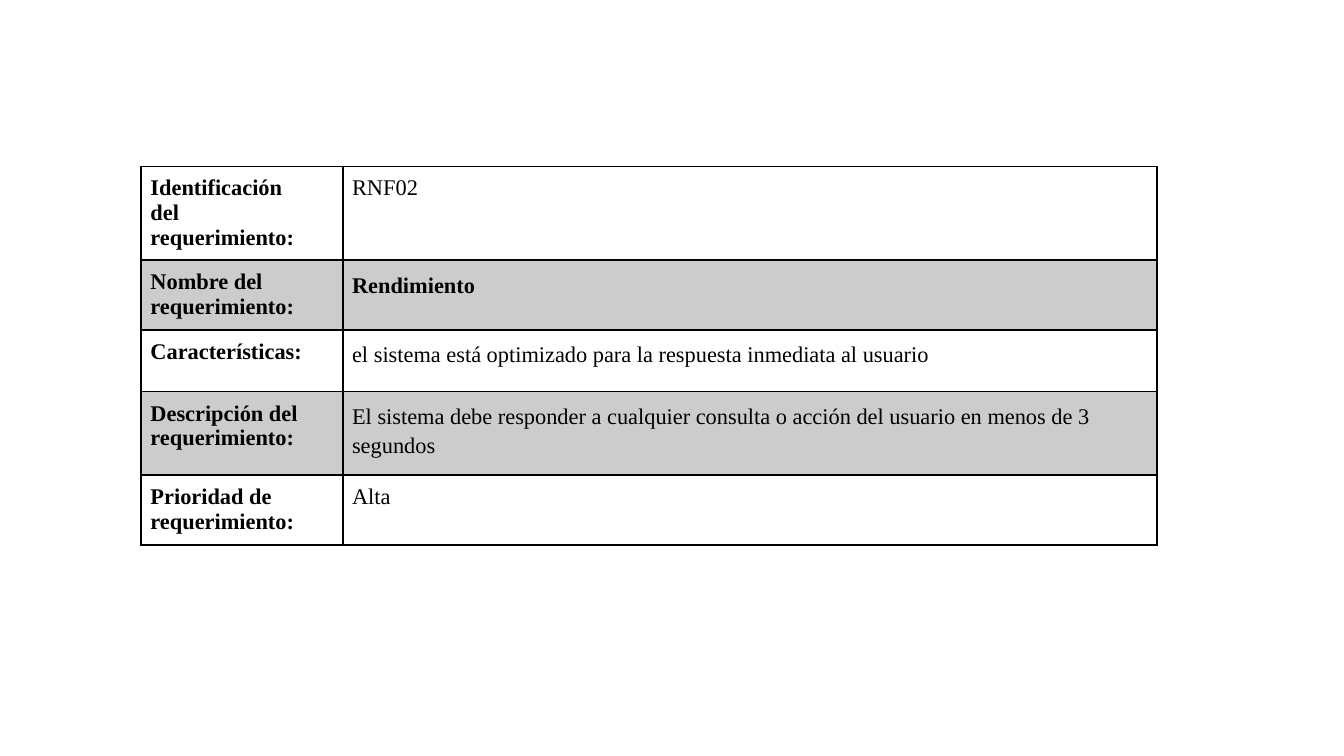
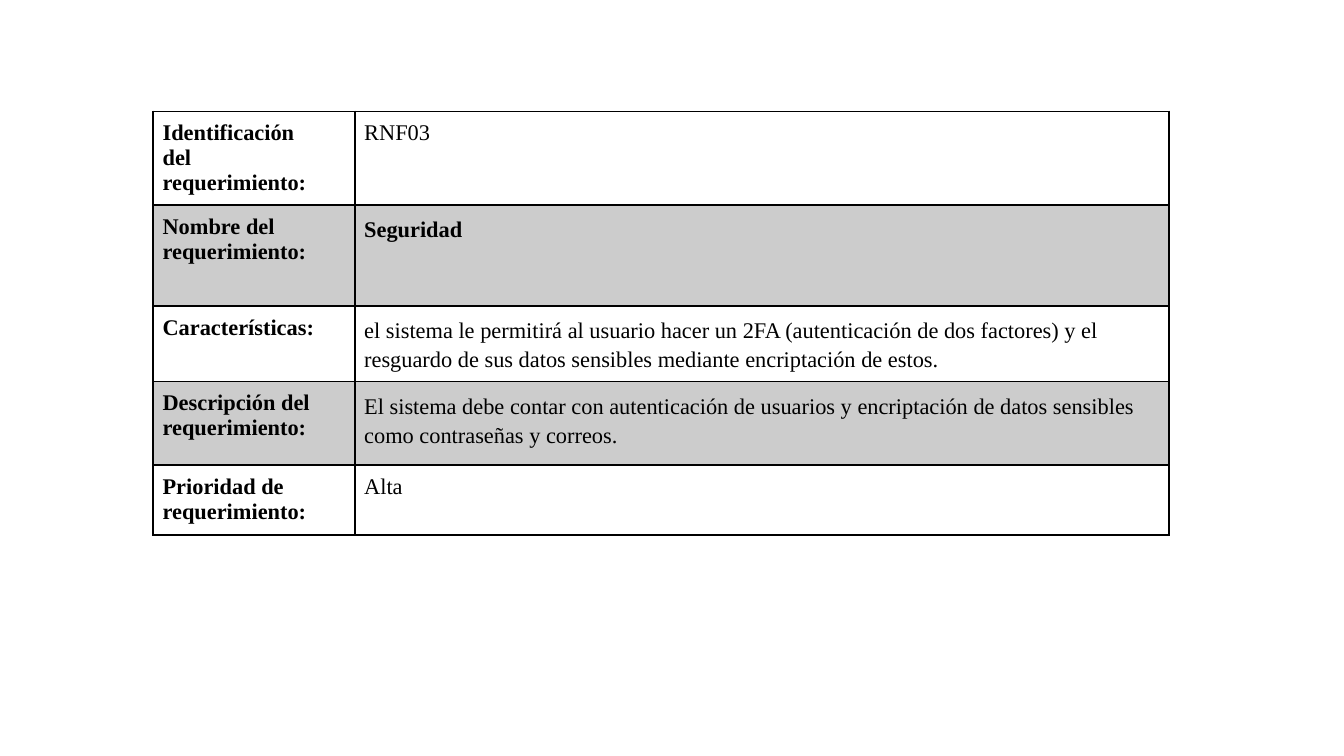
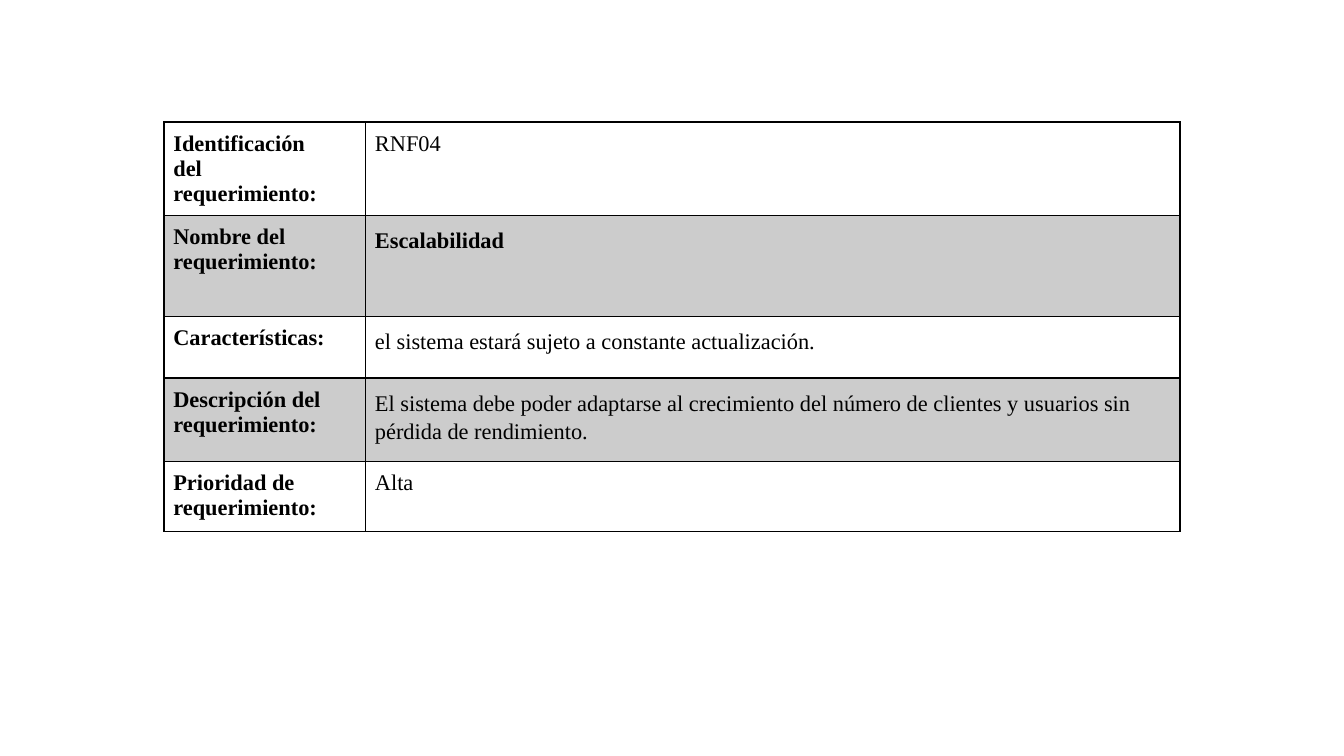
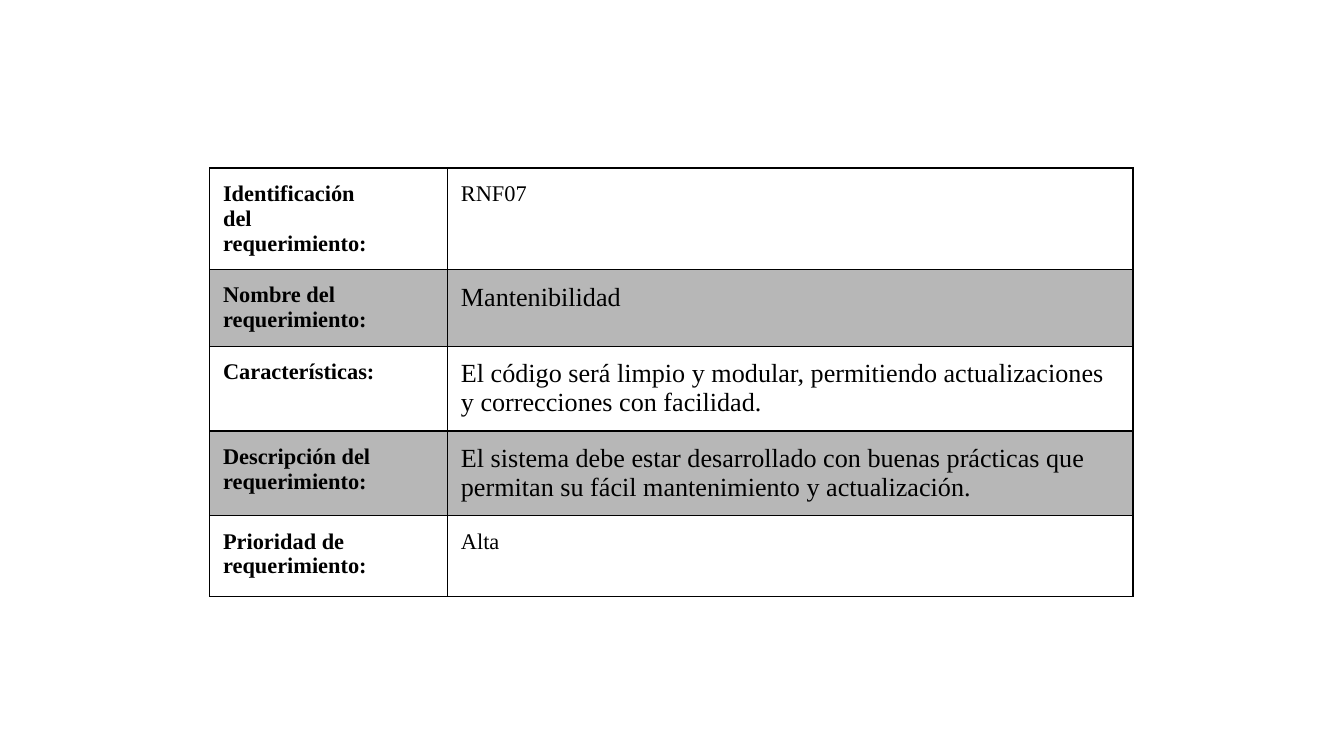
from lxml.etree import SubElement
from pptx import Presentation
from pptx.dml.color import RGBColor
from pptx.oxml.ns import qn
from pptx.util import Inches, Pt

# Content: one requirement per slide
LABELS = [
    "Identificación\ndel\nrequerimiento:",
    "Nombre del\nrequerimiento:",
    "Características:",
    "Descripción del\nrequerimiento:",
    "Prioridad de\nrequerimiento:",
]
REQUIREMENTS = [
    ["RNF02", "Rendimiento",
     "el sistema está optimizado para la respuesta inmediata al usuario",
     "El sistema debe responder a cualquier consulta o acción del usuario en menos de 3 segundos",
     "Alta"],
    ["RNF03", "Seguridad",
     "el sistema le permitirá al usuario hacer un 2FA (autenticación de dos factores) y el "
     "resguardo de sus datos sensibles mediante encriptación de estos.",
     "El sistema debe contar con autenticación de usuarios y encriptación de datos sensibles "
     "como contraseñas y correos.",
     "Alta"],
    ["RNF04", "Escalabilidad",
     "el sistema estará sujeto a constante actualización.",
     "El sistema debe poder adaptarse al crecimiento del número de clientes y usuarios sin "
     "pérdida de rendimiento.",
     "Alta"],
    ["RNF07", "Mantenibilidad",
     "El código será limpio y modular, permitiendo actualizaciones y correcciones con facilidad.",
     "El sistema debe estar desarrollado con buenas prácticas que permitan su fácil "
     "mantenimiento y actualización.",
     "Alta"],
]

# Shared look
FONT = "Times New Roman"
BLACK = RGBColor(0x00, 0x00, 0x00)
WHITE = RGBColor(0xFF, 0xFF, 0xFF)
LIGHT_GRAY = RGBColor(0xCC, 0xCC, 0xCC)
MID_GRAY = RGBColor(0xB7, 0xB7, 0xB7)
BORDER_SIDES = ("lnL", "lnR", "lnT", "lnB")
MARGIN_SIDES = ("left", "right", "top", "bottom")
DETAIL_ROWS = (1, 2, 3)  # name, features and description

WIDE = {"columns": (1.5, 6.06), "margin": 0.07, "border": 1, "band": LIGHT_GRAY,
        "detail_size": 12, "detail_spacing": 1.15, "bold_name": True}
NARROW = {"columns": (1.77, 5.1), "margin": 0.1, "border": 0.75, "band": MID_GRAY,
          "detail_size": 14, "detail_spacing": None, "bold_name": False}

# Style, top left corner and row heights of each table
TABLES = [
    (WIDE, (1.05, 1.24), (0.63, 0.52, 0.46, 0.62, 0.52)),
    (WIDE, (1.14, 0.83), (0.63, 0.75, 0.46, 0.62, 0.52)),
    (WIDE, (1.22, 0.91), (0.63, 0.75, 0.46, 0.62, 0.52)),
    (NARROW, (1.56, 1.25), (0.42, 0.42, 0.42, 0.42, 0.6)),
]


def add_borders(cell, width):
    properties = cell._tc.get_or_add_tcPr()
    for side in BORDER_SIDES:
        line = SubElement(properties, qn(f"a:{side}"), w=str(Pt(width)))
        fill = SubElement(line, qn("a:solidFill"))
        SubElement(fill, qn("a:srgbClr"), val=str(BLACK))


def fill_cell(cell, text, style, color, size=12, bold=False, spacing=None):
    add_borders(cell, style["border"])
    cell.fill.solid()
    cell.fill.fore_color.rgb = color
    for side in MARGIN_SIDES:
        setattr(cell, f"margin_{side}", Inches(style["margin"]))
    cell.text = text
    for para in cell.text_frame.paragraphs:
        para.line_spacing = spacing
        for span in para.runs:
            for name, value in {"name": FONT, "size": Pt(size), "bold": bold}.items():
                setattr(span.font, name, value)
            span.font.color.rgb = BLACK


def add_requirement(page, values, style, corner, heights):
    columns = style["columns"]
    left, top = corner
    frame = page.shapes.add_table(len(LABELS), len(columns), Inches(left), Inches(top),
                                  Inches(sum(columns)), Inches(sum(heights)))
    table = frame.table
    table.first_row = table.horz_banding = False
    for column, width in zip(table.columns, columns):
        column.width = Inches(width)
    for index, (label, value) in enumerate(zip(LABELS, values)):
        table.rows[index].height = Inches(heights[index])
        color = style["band"] if index % 2 else WHITE
        detail = {}
        if index in DETAIL_ROWS:
            detail = {"size": style["detail_size"], "spacing": style["detail_spacing"],
                      "bold": index == 1 and style["bold_name"]}
        fill_cell(table.cell(index, 0), label, style, color, bold=True)
        fill_cell(table.cell(index, 1), value, style, color, **detail)


def main():
    deck = Presentation()
    # Widescreen page, 16:9
    deck.slide_width = Inches(10)
    deck.slide_height = Inches(10 * 9 / 16)
    blank = deck.slide_layouts[6]
    for values, (style, corner, heights) in zip(REQUIREMENTS, TABLES):
        add_requirement(deck.slides.add_slide(blank), values, style, corner, heights)
    deck.save("out.pptx")


if __name__ == "__main__":
    main()
